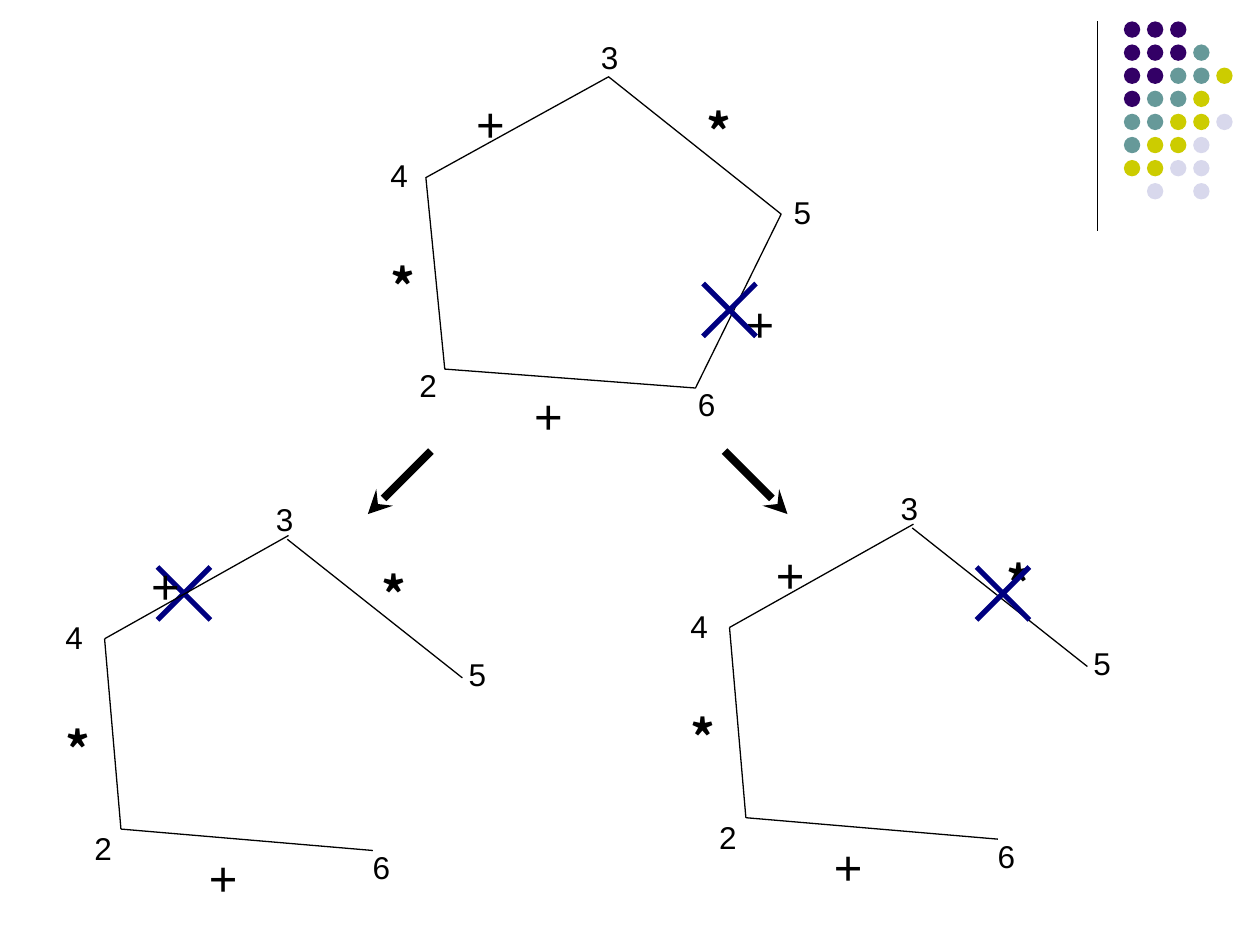
from dataclasses import dataclass
from typing import NamedTuple

from lxml.etree import SubElement
from pptx import Presentation
from pptx.dml.color import RGBColor
from pptx.enum.shapes import MSO_CONNECTOR, MSO_SHAPE
from pptx.enum.text import MSO_ANCHOR, MSO_AUTO_SIZE, PP_ALIGN
from pptx.oxml.ns import qn
from pptx.slide import Slide
from pptx.util import Emu, Inches, Pt


class Point(NamedTuple):
    column: float
    row: float

    def shifted(self, origin: "Point") -> "Point":
        return Point(self.column + origin.column, self.row + origin.row)


class Label(NamedTuple):
    text: str
    position: Point


class Edge(NamedTuple):
    start: Point
    end: Point


class Stage(NamedTuple):
    origin: Point
    arrow: Edge


@dataclass(frozen=True)
class Theme:
    ink: str = "000000"
    cut: str = "000080"
    text_font: str = "Arial"
    star_font: str = "Noto Sans CJK SC"
    number_size: float = 18
    operator_size: float = 28
    thin: float = 0.75
    medium: float = 3
    thick: float = 4.5
    dots: tuple[tuple[str, str], ...] = (
        ("P", "330066"), ("T", "669999"), ("Y", "CCCC00"), ("L", "D8D8EC"))


THEME = Theme()
COLUMNS, ROWS = 10, 7.5
SLIDE_WIDTH, SLIDE_HEIGHT = Inches(10), Inches(7.5)

DOT_ROWS = ("PPP", "PPPT", "PPTTY", "PTTY", "TTYYL", "TYYL", "YYLL", " L L")
DOT_ORIGIN, DOT_PITCH, DOT_SIZE = Point(8.92, 0.17), 0.55 / 3, 0.13
DIVIDER = Edge(Point(8.71, 0.17), Point(8.71, 1.83))

LABELS = (
    Label("3", Point(1.67, 0)), Label("+", Point(0.68, 0.44)),
    Label("5", Point(3.2, 1.23)), Label("6", Point(2.44, 2.76)),
    Label("2", Point(0.23, 2.61)), Label("4", Point(0, 0.94)),
    Label("*", Point(0, 1.74)), Label("*", Point(2.51, 0.51)),
    Label("+", Point(1.14, 2.76)),
)
CLOSING_LABEL = Label("+", Point(2.82, 2.03))
PENTAGON_ORIGIN = Point(3, 0.25)
PENTAGON = (Point(0.38, 1.16), Point(0.53, 2.68), Point(2.52, 2.83),
            Point(3.2, 1.45), Point(1.83, 0.36))
OPEN_EDGES = (
    Edge(Point(0.54, 2.66), Point(2.54, 2.83)),
    Edge(Point(3.25, 1.46), Point(1.86, 0.36)),
    Edge(Point(1.87, 0.33), Point(0.41, 1.15)),
    Edge(Point(0.54, 2.66), Point(0.41, 1.15)),
)
STAGES = (
    Stage(Point(0.42, 3.92), Edge(Point(3.42, 3.58), Point(2.92, 4.08))),
    Stage(Point(5.38, 3.83), Edge(Point(5.75, 3.58), Point(6.25, 4.08))),
)
CUT_SIZE = 0.42
TOP_CUT, LEFT_CUT, RIGHT_CUT = Point(5.58, 2.25), Point(1.25, 4.5), Point(7.75, 4.5)


def across(columns: float) -> Emu:
    return Emu(round(SLIDE_WIDTH * columns / COLUMNS))


def down(rows: float) -> Emu:
    return Emu(round(SLIDE_HEIGHT * rows / ROWS))


def draw_line(slide: Slide, edge: Edge, *, color: str = THEME.ink,
              width: float = THEME.thin, arrow: bool = False) -> None:
    connector = slide.shapes.add_connector(
        MSO_CONNECTOR.STRAIGHT, across(edge.start.column), down(edge.start.row),
        across(edge.end.column), down(edge.end.row))
    connector.line.color.rgb = RGBColor.from_string(color)
    connector.line.width = Pt(width)
    properties = connector.element.spPr
    if arrow:
        SubElement(properties.find(qn("a:ln")), qn("a:tailEnd"), type="stealth")
    SubElement(properties, qn("a:effectLst"))


def draw_text(slide: Slide, text: str, position: Point, *, font: str,
              size: float, height: float, bold: bool = False) -> None:
    shape = slide.shapes.add_textbox(
        across(position.column), down(position.row), across(0.38), down(height))
    frame = shape.text_frame
    frame.word_wrap = True
    frame.auto_size = MSO_AUTO_SIZE.SHAPE_TO_FIT_TEXT
    frame.vertical_anchor = MSO_ANCHOR.TOP
    paragraph = frame.paragraphs[0]
    paragraph.alignment = PP_ALIGN.LEFT
    run = paragraph.add_run()
    run.text = text
    run.font.name = font
    run.font.size = Pt(size)
    run.font.bold = bold
    run.font.color.rgb = RGBColor.from_string(THEME.ink)


def draw_label(slide: Slide, label: Label, origin: Point) -> None:
    star = label.text == "*"
    number = label.text.isdigit()
    draw_text(slide, label.text, label.position.shifted(origin),
              font=THEME.star_font if star else THEME.text_font,
              size=THEME.number_size if number else THEME.operator_size,
              height=0.4 if number else 0.57, bold=star)


def draw_cut(slide: Slide, corner: Point) -> None:
    right, bottom = corner.column + CUT_SIZE, corner.row + CUT_SIZE
    for edge in (Edge(corner, Point(right, bottom)),
                 Edge(Point(corner.column, bottom), Point(right, corner.row))):
        draw_line(slide, edge, color=THEME.cut, width=THEME.medium)


def draw_dots(slide: Slide) -> None:
    colors = dict(THEME.dots)
    for row, codes in enumerate(DOT_ROWS):
        for column, code in enumerate(codes):
            if code not in colors:
                continue
            position = DOT_ORIGIN.shifted(Point(column * DOT_PITCH, row * DOT_PITCH))
            shape = slide.shapes.add_shape(
                MSO_SHAPE.OVAL, across(position.column), down(position.row),
                across(DOT_SIZE), down(DOT_SIZE))
            shape.shadow.inherit = False
            shape.fill.solid()
            shape.fill.fore_color.rgb = RGBColor.from_string(colors[code])
            shape.line.fill.background()


def draw_pentagon(slide: Slide) -> None:
    corners = [(across(point.column), down(point.row))
               for point in (corner.shifted(PENTAGON_ORIGIN) for corner in PENTAGON)]
    builder = slide.shapes.build_freeform(*corners[0])
    builder.add_line_segments(corners[1:], close=True)
    shape = builder.convert_to_shape()
    shape.shadow.inherit = False
    shape.fill.background()
    shape.line.color.rgb = RGBColor.from_string(THEME.ink)
    shape.line.width = Pt(THEME.thin)
    for label in (*LABELS, CLOSING_LABEL):
        draw_label(slide, label, PENTAGON_ORIGIN)


def draw_stage(slide: Slide, stage: Stage) -> None:
    for label in LABELS:
        draw_label(slide, label, stage.origin)
    for edge in OPEN_EDGES:
        draw_line(slide, Edge(edge.start.shifted(stage.origin),
                              edge.end.shifted(stage.origin)))
    draw_line(slide, stage.arrow, width=THEME.thick, arrow=True)


def main() -> None:
    presentation = Presentation()
    presentation.slide_width = SLIDE_WIDTH
    presentation.slide_height = SLIDE_HEIGHT
    slide = presentation.slides.add_slide(presentation.slide_layouts[6])
    draw_line(slide, DIVIDER)
    draw_dots(slide)
    draw_pentagon(slide)
    for corner in (TOP_CUT, LEFT_CUT):
        draw_cut(slide, corner)
    for stage in STAGES:
        draw_stage(slide, stage)
    draw_cut(slide, RIGHT_CUT)
    presentation.save("out.pptx")


if __name__ == "__main__":
    main()
